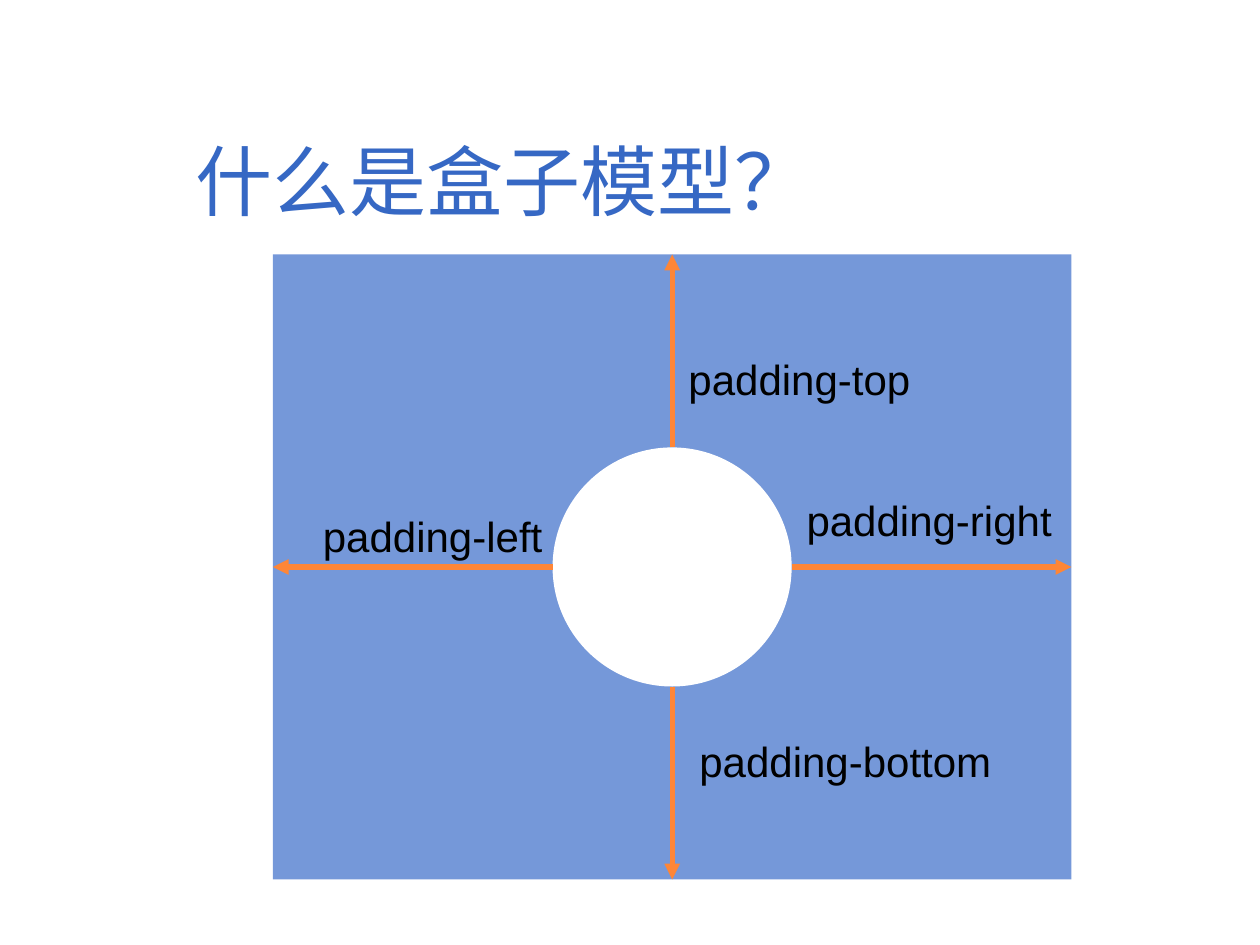
from lxml import etree
from pptx import Presentation
from pptx.dml.color import RGBColor
from pptx.enum.shapes import MSO_CONNECTOR, MSO_SHAPE
from pptx.enum.text import MSO_ANCHOR, MSO_AUTO_SIZE, PP_ALIGN
from pptx.oxml.ns import qn
from pptx.util import Cm, Pt

RECT, OVAL = MSO_SHAPE.RECTANGLE, MSO_SHAPE.OVAL
STRAIGHT = MSO_CONNECTOR.STRAIGHT
TOP, MIDDLE, LEFT = MSO_ANCHOR.TOP, MSO_ANCHOR.MIDDLE, PP_ALIGN.LEFT
FIXED, GROW = MSO_AUTO_SIZE.NONE, MSO_AUTO_SIZE.SHAPE_TO_FIT_TEXT
BLUE, DARK_BLUE, ORANGE = "7598D9", "3668C4", "FE8637"
WHITE, BLACK = "FFFFFF", "000000"


def rgb(value):
    """Turn a hex string into a colour."""
    return RGBColor.from_string(value)


def add_block(s, kind, x, y, w, h, color):
    """Add a filled shape without outline or shadow."""
    sp = s.shapes.add_shape(kind, Cm(x), Cm(y), Cm(w), Cm(h))
    sp.shadow.inherit = False
    sp.fill.solid()
    sp.fill.fore_color.rgb = rgb(color)
    sp.line.fill.background()
    return sp


def write(sp, text, font, size, color, wrap, anchor, fit):
    """Write one left-aligned line of text into a shape."""
    tf = sp.text_frame
    tf.word_wrap = wrap
    tf.auto_size = fit
    tf.vertical_anchor = anchor
    tf.text = text
    p = tf.paragraphs[0]
    p.alignment = LEFT
    r = p.runs[0]
    r.font.name = font
    r.font.size = Pt(size)
    r.font.color.rgb = rgb(color)
    etree.SubElement(r.font._element, qn("a:ea"), typeface=font)


def add_arrow(s, x, y, box, side):
    """Draw an arrow from a point to the middle of a side of the box."""
    line = s.shapes.add_connector(STRAIGHT, Cm(x), Cm(y), Cm(x), Cm(y))
    line.end_connect(box, side)
    line.line.color.rgb = rgb(ORANGE)
    line.line.width = Pt(3)
    etree.SubElement(line.line._get_or_add_ln(), qn("a:tailEnd"), type="triangle")
    etree.SubElement(line._element.spPr, qn("a:effectLst"))


def add_title(s, x, y, w, h):
    """Place the slide title."""
    sp = s.shapes.add_textbox(Cm(x), Cm(y), Cm(w), Cm(h))
    write(sp, "什么是盒子模型？", "Noto Sans CJK SC", 44, DARK_BLUE, True, MIDDLE, FIXED)


def add_padding_diagram(s, x, y, w, h):
    """Place the box, its round content and the four labelled paddings."""
    box = add_block(s, RECT, x, y, w, h, BLUE)
    radius = 2.41
    cx, cy = x + w / 2, y + h / 2
    add_block(s, OVAL, cx - radius, cy - radius, 2 * radius, 2 * radius, WHITE)
    paddings = [
        ("padding-right", 3, 1, 0, 10.51, 4.72, 5.46),
        ("padding-left", 1, -1, 0, 0.76, 5.03, 4.95),
        ("padding-top", 0, 0, -1, 8.13, 1.88, 5),
        ("padding-bottom", 2, 0, 1, 8.35, 9.58, 6.4),
    ]
    for text, side, dx, dy, left, top, width in paddings:
        add_arrow(s, cx + dx * radius, cy + dy * radius, box, side)
        sp = add_block(s, RECT, x + left, y + top, width, 1.27, BLUE)
        if text != "padding-right":
            sp.fill.background()
        write(sp, text, "Arial", 24, BLACK, False, TOP, GROW)


def main():
    """Build the slide and save it."""
    prs = Presentation()
    prs.slide_width, prs.slide_height = Cm(25.4), Cm(19.05)
    s = prs.slides.add_slide(prs.slide_layouts[6])
    add_title(s, 3.7, 2.51, 20.4, 2.24)
    add_padding_diagram(s, 5.5, 5.13, 16.1, 12.6)
    prs.save("out.pptx")


if __name__ == "__main__":
    main()
